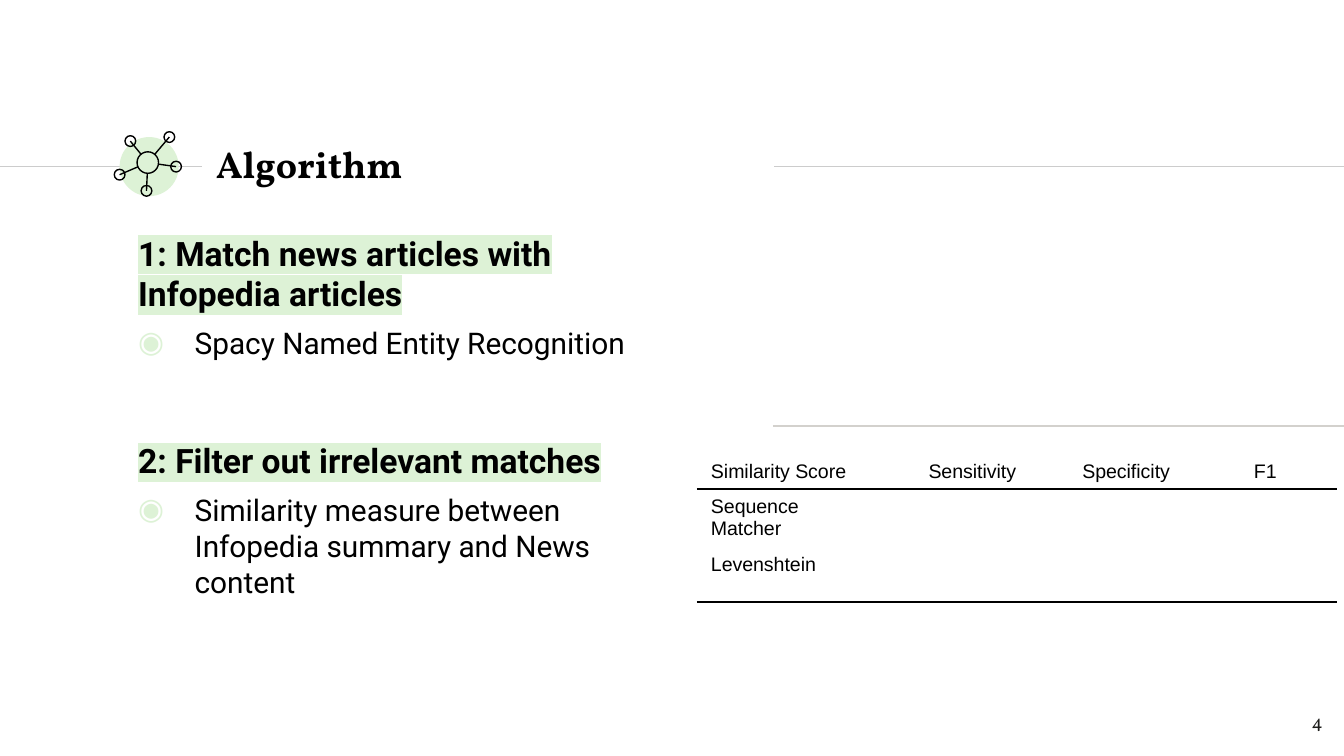
import math
from dataclasses import dataclass
from typing import NamedTuple

from lxml import etree
from pptx import Presentation
from pptx.dml.color import RGBColor
from pptx.enum.shapes import MSO_CONNECTOR, MSO_SHAPE
from pptx.enum.text import MSO_ANCHOR, PP_ALIGN
from pptx.oxml.ns import qn
from pptx.util import Inches, Pt

STRAIGHT = MSO_CONNECTOR.STRAIGHT
OVAL = MSO_SHAPE.OVAL
LEFT, CENTER, RIGHT = PP_ALIGN.LEFT, PP_ALIGN.CENTER, PP_ALIGN.RIGHT
TOP, MIDDLE = MSO_ANCHOR.TOP, MSO_ANCHOR.MIDDLE


@dataclass(frozen=True)
class Theme:
    black: str = "000000"
    number: str = "1D1D1B"
    mint: str = "DDF2D6"
    rule: str = "CCCCCC"
    divider: str = "D3D1CD"
    serif: str = "Vollkorn"
    sans: str = "Roboto"
    table_font: str = "Arial"
    title_size: float = 20
    heading_size: float = 18
    body_size: float = 16
    table_size: float = 10.5
    number_size: float = 10
    thin: float = 0.75
    border: float = 1


T = Theme()


class Circle(NamedTuple):
    x: float
    y: float
    r: float


class Rule(NamedTuple):
    x1: float
    x2: float
    y: float
    color: str


class Section(NamedTuple):
    heading: str
    bullet: str
    space_before: float


SLIDE_WIDTH = 10
SLIDE_HEIGHT = SLIDE_WIDTH * 9 / 16
HALO = Circle(1.11, 1.24, 0.22)
HUB = Circle(1.1, 1.21, 0.08)
NODES = [Circle(x, y, 0.04) for x, y in
         [(1.26, 1.02), (0.97, 1.05), (0.89, 1.3), (1.09, 1.42), (1.31, 1.24)]]
TITLE_RULES = [Rule(0, 1.5, 1.24, T.rule), Rule(5.76, 10, 1.24, T.rule)]
TABLE_RULE = Rule(5.75, 10, 3.17, T.divider)
SECTIONS = [
    Section("1: Match news articles with Infopedia articles",
            "Spacy Named Entity Recognition", 6),
    Section("2: Filter out irrelevant matches",
            "Similarity measure between Infopedia summary and News content", 37),
]
TABLE = [
    ["Similarity Score", "Sensitivity", "Specificity", "F1"],
    ["Sequence\nMatcher", "", "", ""],
    ["Levenshtein", "", "", ""],
]
COL_WIDTHS = [1.41, 1.27, 1.02, 1.05]
ROW_HEIGHTS = [0.26, 0.41, 0.41]


def add_line(s, x1: float, y1: float, x2: float, y2: float, color: str):
    ln = s.shapes.add_connector(STRAIGHT, Inches(x1), Inches(y1), Inches(x2), Inches(y2))
    ln.line.color.rgb = RGBColor.from_string(color)
    ln.line.width = Pt(T.thin)
    etree.SubElement(ln._element.spPr, qn("a:effectLst"))


def add_rule(s, rule: Rule):
    add_line(s, rule.x1, rule.y, rule.x2, rule.y, rule.color)


def add_circle(s, c: Circle, fill: str = "", line: str = ""):
    sp = s.shapes.add_shape(OVAL, Inches(c.x - c.r), Inches(c.y - c.r),
                            Inches(2 * c.r), Inches(2 * c.r))
    sp.shadow.inherit = False
    if fill:
        sp.fill.solid()
        sp.fill.fore_color.rgb = RGBColor.from_string(fill)
    else:
        sp.fill.background()
    if line:
        sp.line.color.rgb = RGBColor.from_string(line)
        sp.line.width = Pt(T.thin)
    else:
        sp.line.fill.background()


def add_spoke(s, node: Circle, hub: Circle):
    """Line from a node's centre to the edge of the hub."""
    angle = math.atan2(node.y - hub.y, node.x - hub.x)
    add_line(s, node.x, node.y, hub.x + hub.r * math.cos(angle),
             hub.y + hub.r * math.sin(angle), T.black)


def add_frame(s, x: float, y: float, w: float, h: float, anchor=TOP):
    tf = s.shapes.add_textbox(Inches(x), Inches(y), Inches(w), Inches(h)).text_frame
    tf.word_wrap = True
    tf.vertical_anchor = anchor
    tf.margin_left = tf.margin_right = tf.margin_top = tf.margin_bottom = Inches(0.1)
    return tf


def write(tf, text: str, *, size: float, font: str, color: str = T.black,
          bold: bool = False, align=LEFT, before: float = 0, after: float = 0,
          margin: float = 0, indent: float = 0, bullet: str = "", highlight: str = ""):
    """Add one paragraph, filling the first one while it is still empty."""
    p = tf.paragraphs[0] if not tf.text else tf.add_paragraph()
    p.alignment = align
    p.space_before, p.space_after = Pt(before), Pt(after)
    pPr = p._p.get_or_add_pPr()
    pPr.set("marL", str(Inches(margin)))
    pPr.set("indent", str(Inches(indent)))
    if bullet:
        clr = etree.SubElement(pPr, qn("a:buClr"))
        etree.SubElement(clr, qn("a:srgbClr"), val=T.mint)
        etree.SubElement(pPr, qn("a:buFont"), typeface=font)
        etree.SubElement(pPr, qn("a:buChar"), char=bullet)
    r = p.add_run()
    r.text = text
    r.font.size, r.font.name, r.font.bold = Pt(size), font, bold
    r.font.color.rgb = RGBColor.from_string(color)
    if highlight:
        hl = etree.Element(qn("a:highlight"))
        etree.SubElement(hl, qn("a:srgbClr"), val=highlight)
        r._r.rPr.find(qn("a:solidFill")).addnext(hl)


def add_border(cell, side: str):
    ln = etree.SubElement(cell._tc.get_or_add_tcPr(), qn(f"a:{side}"), w=str(Pt(T.border)))
    fill = etree.SubElement(ln, qn("a:solidFill"))
    etree.SubElement(fill, qn("a:srgbClr"), val=T.black)


def add_score_table(s, x: float, y: float):
    tbl = s.shapes.add_table(len(TABLE), len(COL_WIDTHS), Inches(x), Inches(y),
                             Inches(sum(COL_WIDTHS)), Inches(sum(ROW_HEIGHTS))).table
    tbl.first_row = tbl.horz_banding = False
    for col, width in zip(tbl.columns, COL_WIDTHS):
        col.width = Inches(width)
    for i, (row, height) in enumerate(zip(tbl.rows, ROW_HEIGHTS)):
        row.height = Inches(height)
        for j, cell in enumerate(row.cells):
            cell.margin_bottom = Inches(0.03)
            add_border(cell, "lnT" if i == 1 else "lnB")
            cell.fill.background()
            for text in TABLE[i][j].splitlines():
                write(cell.text_frame, text, size=T.table_size, font=T.table_font,
                      align=CENTER if j else LEFT)


def main():
    prs = Presentation()
    prs.slide_width, prs.slide_height = Inches(SLIDE_WIDTH), Inches(SLIDE_HEIGHT)
    s = prs.slides.add_slide(prs.slide_layouts[6])

    # Title band
    for rule in TITLE_RULES:
        add_rule(s, rule)
    write(add_frame(s, 1.51, 0.98, 4.24, 0.48, MIDDLE), "Algorithm",
          size=T.title_size, font=T.serif, bold=True)

    # Network icon
    add_circle(s, HALO, fill=T.mint)
    for c in [*NODES, HUB]:
        add_circle(s, c, line=T.black)
    for node in NODES:
        add_spoke(s, node, HUB)

    # Steps
    tf = add_frame(s, 0.85, 1.63, 3.91, 2.36)
    for sec in SECTIONS:
        write(tf, sec.heading, size=T.heading_size, font=T.sans, bold=True,
              before=sec.space_before, margin=0.08, highlight=T.mint)
        write(tf, sec.bullet, size=T.body_size, font=T.sans, before=6, after=6,
              margin=0.5, indent=-0.42, bullet="◉")

    # Scores
    add_score_table(s, 5.19, 3.38)
    add_rule(s, TABLE_RULE)

    # Slide number
    write(add_frame(s, 9.34, 5.2, 0.6, 0.43), "4", size=T.number_size,
          font=T.serif, color=T.number, align=RIGHT)

    prs.save("out.pptx")


if __name__ == "__main__":
    main()
